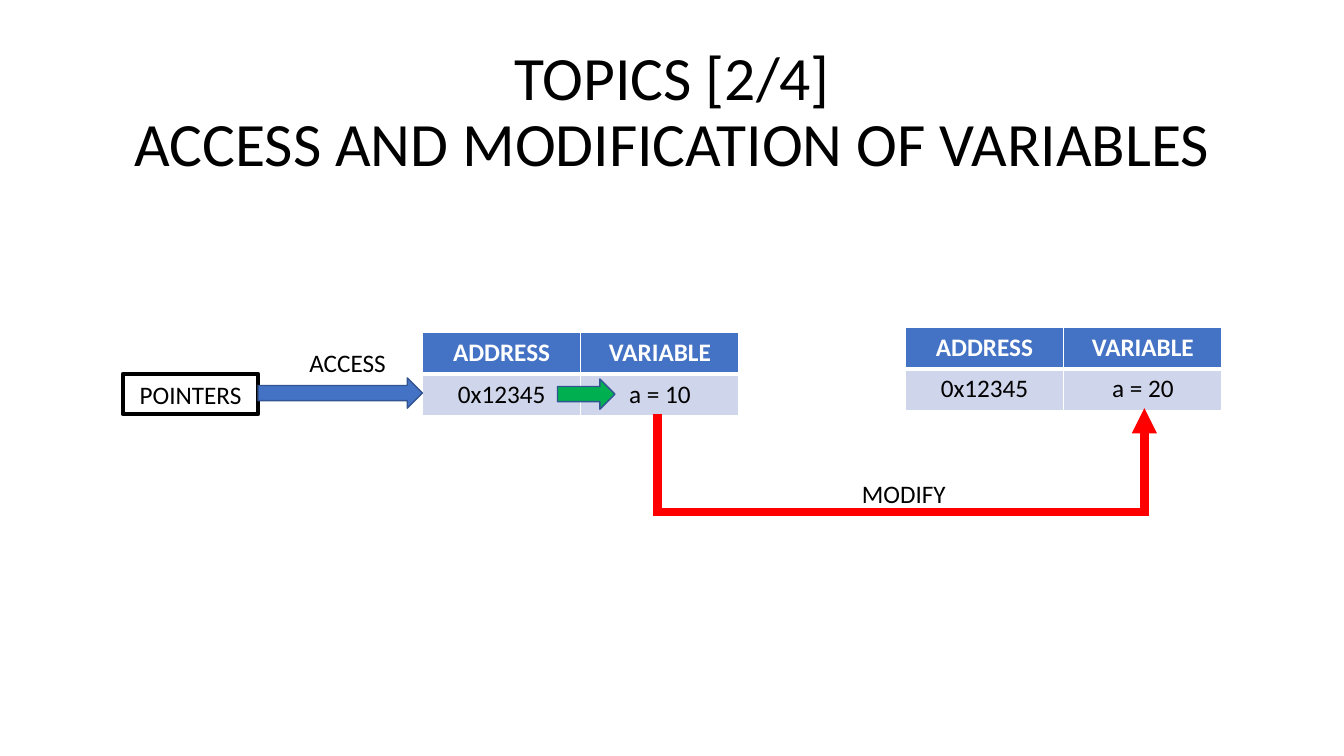
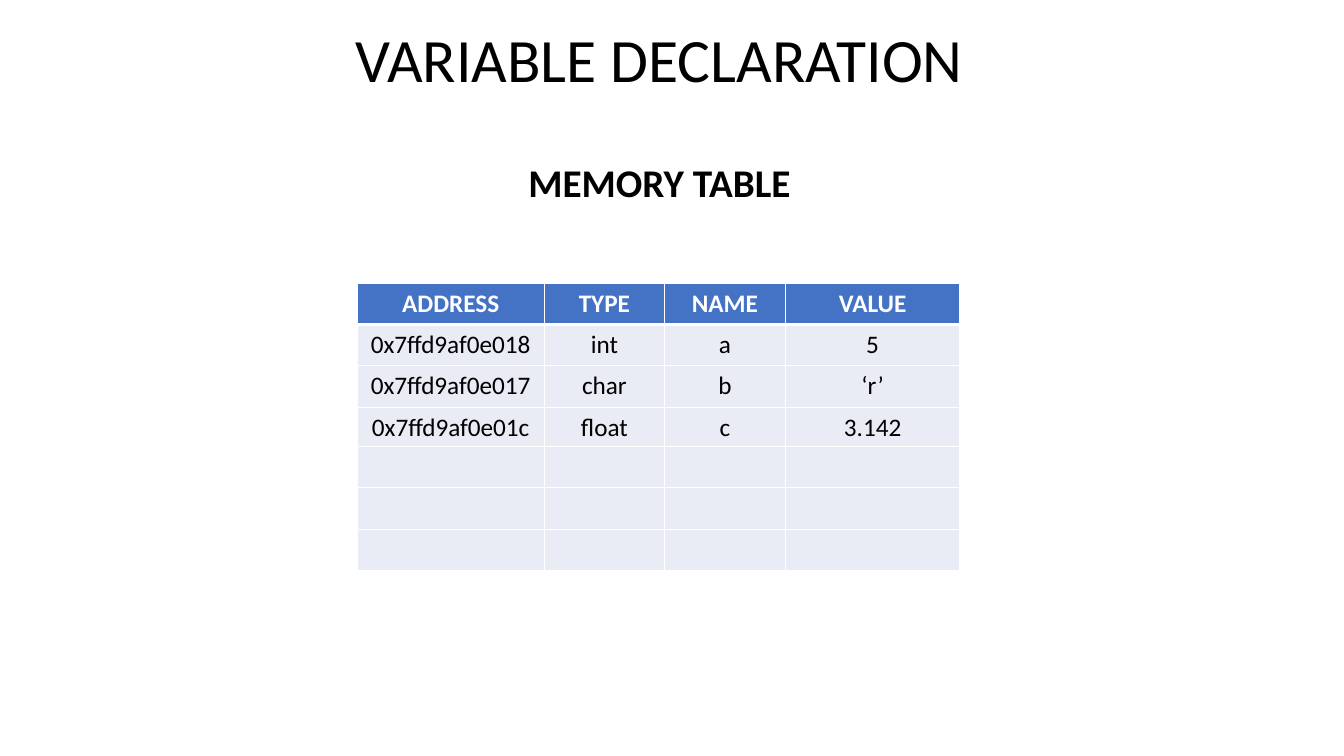
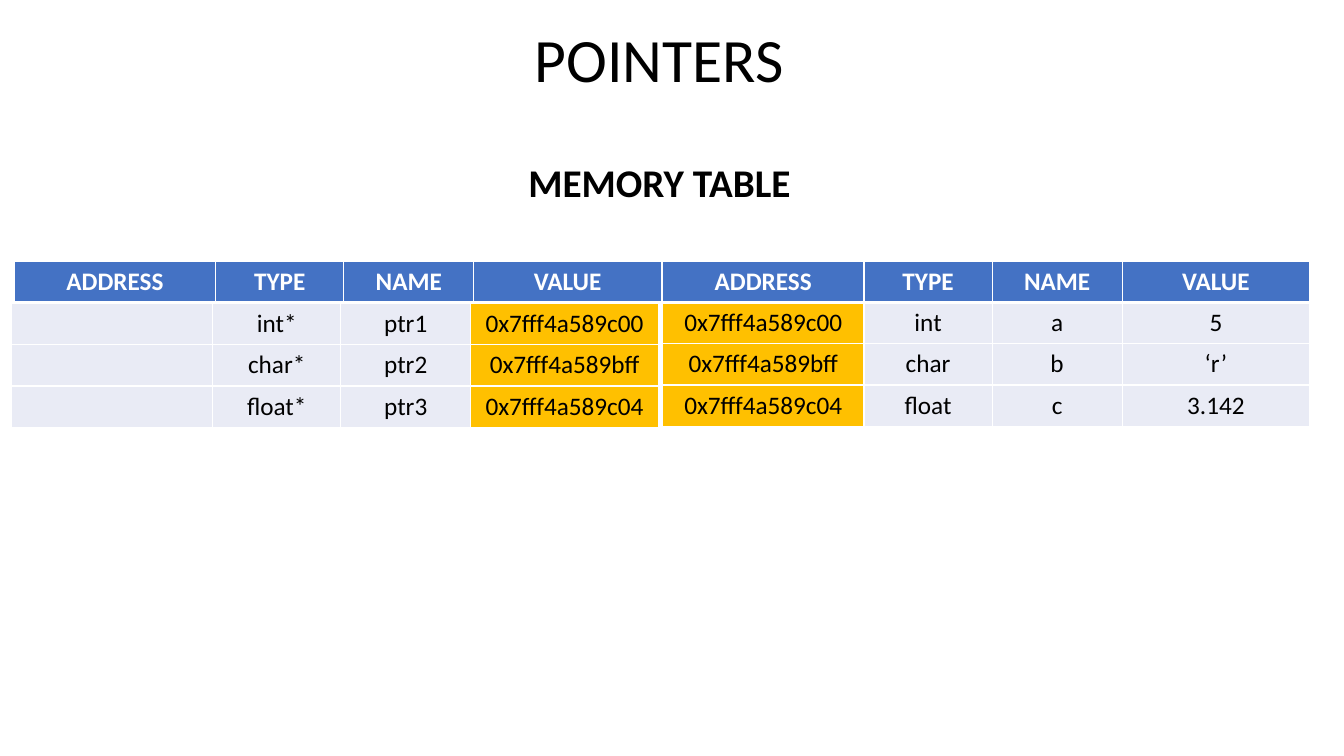
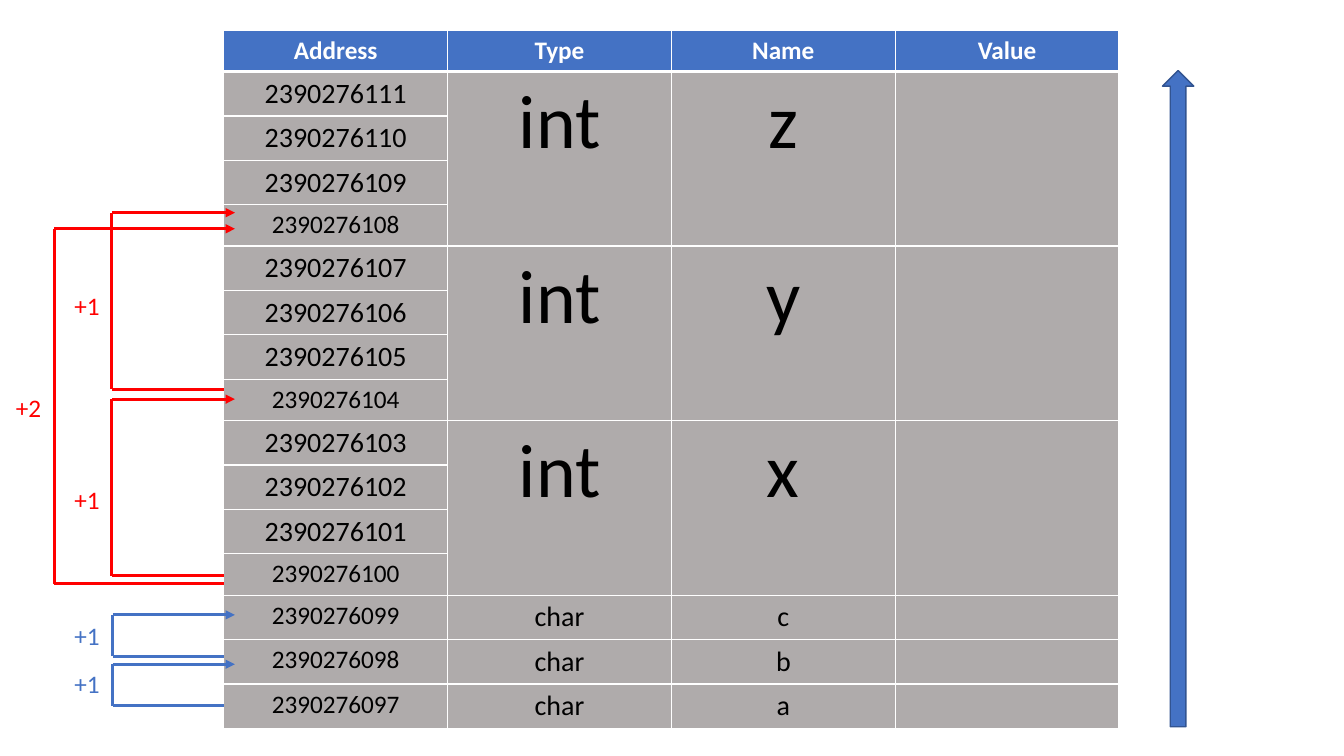
from lxml.etree import SubElement
from pptx import Presentation
from pptx.dml.color import RGBColor
from pptx.enum.shapes import MSO_CONNECTOR as LINK, MSO_SHAPE as SHAPE
from pptx.enum.text import MSO_ANCHOR as ANCHOR, MSO_AUTO_SIZE as FIT, PP_ALIGN as ALIGN
from pptx.oxml.ns import qn
from pptx.util import Inches, Pt

hue = RGBColor.from_string
BLACK, WHITE, RED = "000000", "FFFFFF", "FF0000"
BLUE, NAVY, GREEN, GOLD = "4472C4", "325491", "00B050", "FFC000"
PALE, MIST, GREY = "E9EBF5", "CFD5EA", "AFABAB"
ROW = 0.41


def write(frame, text, size=18, color=BLACK, bold=False, align=ALIGN.CENTER, gap=1.0):
    frame.text = text
    para = frame.paragraphs[0]
    para.alignment, para.line_spacing = align, gap
    style = {"name": "Calibri", "size": Pt(size), "bold": bold}
    for run in para.runs:
        for key, value in style.items():
            setattr(run.font, key, value)
        run.font.color.rgb = hue(color)


def grid(slide, left, top, cols, rows, head=False, fill=PALE, mark=None):
    """Add a white-ruled table; head styles row 0, mark is a gold column."""
    table = slide.shapes.add_table(
        len(rows), len(cols), Inches(left), Inches(top),
        Inches(sum(cols)), Inches(ROW * len(rows))).table
    table.first_row = table.horz_banding = False
    for col, width in zip(table.columns, cols):
        col.width = Inches(width)
    for r, texts in enumerate(rows):
        table.rows[r].height = Inches(ROW)
        top_row = head and r == 0
        edges = {"lnL": 1, "lnR": 1,
                 "lnT": 3 if head and r == 1 else 1,
                 "lnB": 3 if top_row else 1}
        for c, text in enumerate(texts):
            cell = table.cell(r, c)
            props = cell._tc.get_or_add_tcPr()
            for edge, width in edges.items():
                line = SubElement(props, qn("a:" + edge), w=str(Pt(width)))
                paint = SubElement(line, qn("a:solidFill"))
                SubElement(paint, qn("a:srgbClr"), val=WHITE)
            cell.fill.solid()
            cell.fill.fore_color.rgb = hue(BLUE if top_row else GOLD if c == mark else fill)
            if text:
                write(cell.text_frame, text, color=WHITE if top_row else BLACK, bold=top_row)
    return table


deck = Presentation()
deck.slide_width, deck.slide_height = Inches(13.33), Inches(7.5)

# Titles
BAND = (2.48, 0.18, 8.12, 0.88)
titles = [
    ("TOPICS [2/4]\vACCESS AND MODIFICATION OF VARIABLES", (0.92, 0.4, 11.5, 1.45)),
    ("VARIABLE DECLARATION", BAND),
    ("POINTERS", BAND),
]
for text, box in titles:
    title = deck.slides.add_slide(deck.slide_layouts[5]).shapes.title
    title.left, title.top, title.width, title.height = map(Inches, box)
    write(title.text_frame, text, 44, gap=0.9)
    title.text_frame.vertical_anchor = ANCHOR.MIDDLE
    title.text_frame.auto_size = FIT.NONE
topics, vars_, ptrs = deck.slides
memory = deck.slides.add_slide(deck.slide_layouts[6])

for slide in (vars_, ptrs):
    box = slide.shapes.add_textbox(*map(Inches, (2.48, 1.39, 8.12, 0.88)))
    box.text_frame.word_wrap = True
    box.text_frame.vertical_anchor = ANCHOR.MIDDLE
    write(box.text_frame, "MEMORY TABLE", 28, bold=True, gap=0.9)

# Access and modification
node = topics.shapes.add_shape(SHAPE.RECTANGLE, *map(Inches, (1.22, 3.71, 1.34, 0.4)))
node.shadow.inherit = False
node.fill.background()
node.line.color.rgb, node.line.width = hue(BLACK), Pt(3)
write(node.text_frame, "POINTERS")
for left, top, value in ((4.19, 3.3, "a = 10"), (8.98, 3.25, "a = 20")):
    grid(topics, left, top, [1.57] * 2,
         [["ADDRESS", "VARIABLE"], ["0x12345", value]], head=True, fill=MIST)

# Variable declaration
HEAD = [["ADDRESS", "TYPE", "NAME", "VALUE"]]
values = [["int", "a", "5"], ["char", "b", "‘r’"], ["float", "c", "3.142"]]
cols = [1.86, 1.19, 1.2, 1.73]
places = ["0x7ffd9af0e018", "0x7ffd9af0e017", "0x7ffd9af0e01c"]
grid(vars_, 3.54, 3.22, cols, [[place] + row for place, row in zip(places, values)])
grid(vars_, 3.54, 2.81, cols, HEAD, head=True)
grid(vars_, 3.54, 4.43, cols, [[""] * 4] * 3)

# Pointers
cols = [2, 1.27, 1.29, 1.86]
places = ["0x7fff4a589c00", "0x7fff4a589bff", "0x7fff4a589c04"]
grid(ptrs, 6.57, 3, cols, [[place] + row for place, row in zip(places, values)], mark=0)
for left in (6.57, 0.14):
    grid(ptrs, left, 2.59, cols, HEAD, head=True)
grid(ptrs, 0.11, 3.01, cols,
     [["", row[0] + "*", f"ptr{n}", place]
      for n, (row, place) in enumerate(zip(values, places), 1)], mark=3)

# Memory map: three four-byte ints above three one-byte chars
cells = [["Address", "Type", "Name", "Value"]]
for n, place in enumerate(range(2390276111, 2390276096, -1)):
    if n >= 12:
        kind, name = "char", "cba"[n - 12]
    else:
        kind, name = ("int", "zyx"[n // 4]) if n % 4 == 0 else ("", "")
    cells.append([str(place), kind, name, ""])
table = grid(memory, 2.22, 0.3, [2.22] * 4, cells, head=True, fill=GREY)
for r in range(1, 16):
    for c in range(3):
        if c == 0:
            size = 18 if r % 4 == 0 or r > 12 else 20
        else:
            size = 54 if r <= 12 else 20
        for run in table.cell(r, c).text_frame.paragraphs[0].runs:
            run.font.size = Pt(size)
for r in (1, 5, 9):
    for c in (1, 2, 3):
        table.cell(r, c).merge(table.cell(r + 3, c))

# Lines: slide, colour, width, start, end, arrowhead
lines = [
    (topics, RED, 6, (6.52, 4.11), (6.52, 5.12), False),
    (topics, RED, 6, (6.51, 5.08), (11.35, 5.08), False),
    (topics, RED, 6, (11.35, 5.12), (11.35, 4.05), True),
]
jumps = [
    (RED, 1.11, 5.71, 3.96), (RED, 1.11, 3.86, 2.11),
    (BLUE, 1.12, 7, 6.59), (BLUE, 1.12, 6.51, 6.1),
    (RED, 0.54, 5.79, 2.27),
]
for color, x, low, high in jumps:
    lines += [
        (memory, color, 2.25, (2.22, low), (x, low), False),
        (memory, color, 2.25, (x, high), (2.33, high), True),
        (memory, color, 2.25, (x, low), (x, high), False),
    ]
for slide, color, width, start, end, tip in lines:
    link = slide.shapes.add_connector(LINK.STRAIGHT, *map(Inches, start + end))
    link.line.color.rgb, link.line.width = hue(color), Pt(width)
    if tip:
        SubElement(link.line._get_or_add_ln(), qn("a:tailEnd"), type="triangle")
    SubElement(link._element.spPr, qn("a:effectLst"))

# Block arrows
arrows = [
    (topics, SHAPE.RIGHT_ARROW, BLUE, (2.56, 3.75, 1.63, 0.3)),
    (topics, SHAPE.RIGHT_ARROW, GREEN, (5.53, 3.76, 0.57, 0.3)),
    (memory, SHAPE.UP_ARROW, BLUE, (11.53, 0.7, 0.31, 6.51)),
]
for slide, kind, color, box in arrows:
    arrow = slide.shapes.add_shape(kind, *map(Inches, box))
    arrow.shadow.inherit = False
    arrow.fill.solid()
    arrow.fill.fore_color.rgb = hue(color)
    arrow.line.color.rgb, arrow.line.width = hue(NAVY), Pt(1)

# Labels
labels = [
    (topics, "ACCESS", BLACK, 2.97, 3.4, 0.97),
    (topics, "MODIFY", BLACK, 8.45, 4.7, 1.04),
    (memory, "+1", RED, 0.64, 4.76, 0.64),
    (memory, "+1", RED, 0.64, 2.83, 0.64),
    (memory, "+1", BLUE, 0.64, 6.58, 0.64),
    (memory, "+1", BLUE, 0.64, 6.11, 0.64),
    (memory, "+2", RED, 0.06, 3.84, 0.64),
]
for slide, text, color, left, top, width in labels:
    box = slide.shapes.add_textbox(*map(Inches, (left, top, width, 0.4)))
    box.text_frame.word_wrap = True
    write(box.text_frame, text, color=color, align=ALIGN.LEFT)

deck.save("out.pptx")
